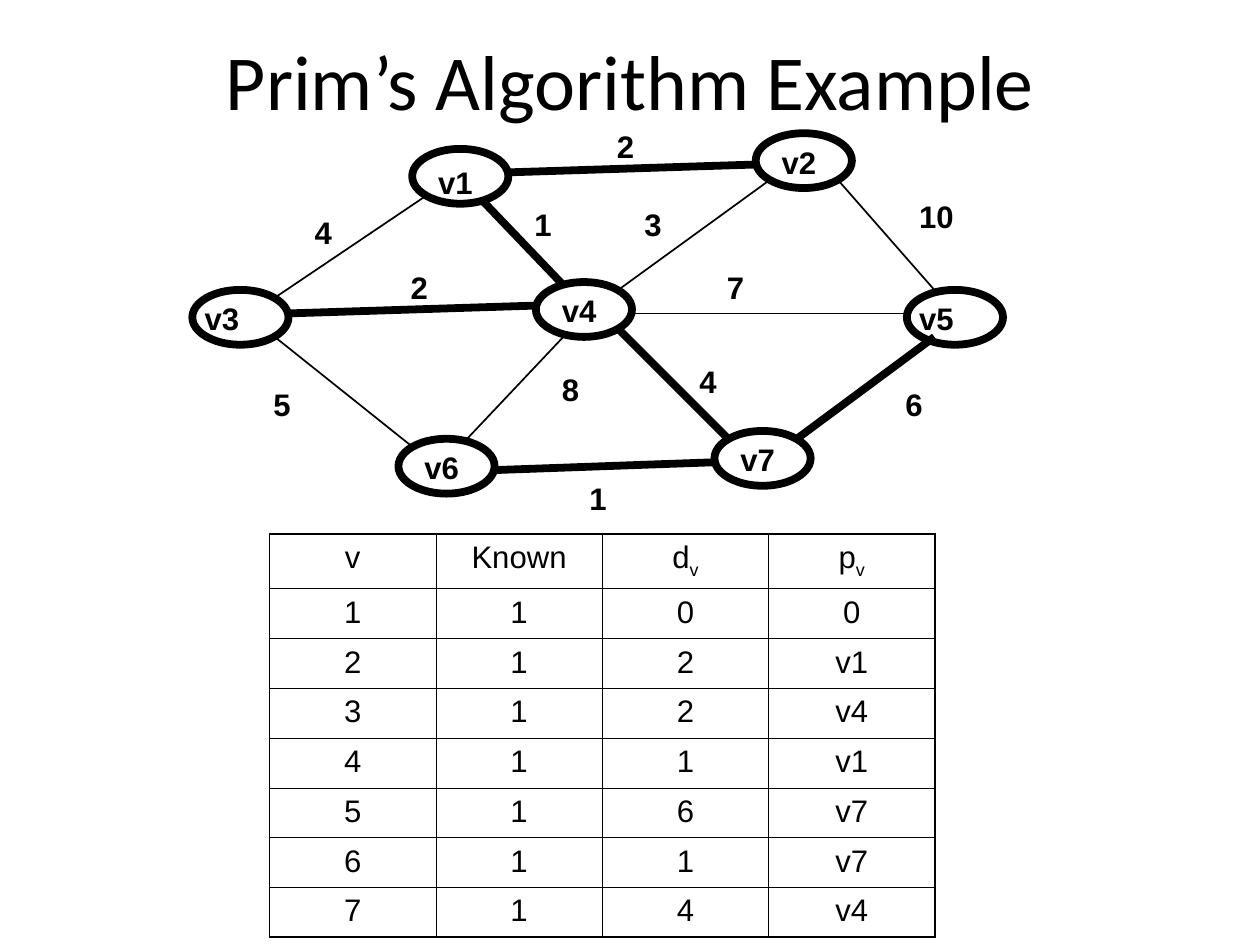
"""Build a slide showing Prim's algorithm on a weighted graph with its result table."""
from dataclasses import dataclass

from lxml import etree
from pptx import Presentation
from pptx.dml.color import RGBColor
from pptx.enum import shapes, text
from pptx.oxml import ns
from pptx.util import Inches, Pt


@dataclass(frozen=True)
class Theme:
    ink: RGBColor = RGBColor(0, 0, 0)
    title_font: str = "Calibri"
    body_font: str = "Arial"
    title_size: int = 45
    body_size: int = 18
    thick: float = 4.5
    thin: float = 1
    frame: float = 1.08
    rule: float = 0.45


theme = Theme()
deck = Presentation()
deck.slide_width, deck.slide_height = Inches(10.13), Inches(7.65)
wide, high = deck.slide_width, deck.slide_height
page = deck.slides.add_slide(deck.slide_layouts[5])


def grid(column, row):
    return int(column * wide / 91.7), int(row * high / 121.5)


def style(span, font, size, bold=False):
    span.font.name, span.font.size, span.font.bold = font, Pt(size), bold
    span.font.color.rgb = theme.ink


title = page.shapes.title
title.left, title.top = int(wide * 0.05), 0
title.width, title.height = int(wide * 0.9), int(high * 0.166)
title.text_frame.text = "Prim’s Algorithm Example"
title.text_frame.vertical_anchor = text.MSO_ANCHOR.MIDDLE
title.text_frame.paragraphs[0].alignment = text.PP_ALIGN.CENTER
style(title.text_frame.paragraphs[0].runs[0], theme.title_font, theme.title_size)

results = [
    ("v", "Known", "d", "p"),
    ("1", "1", "0", "0"),
    ("2", "1", "2", "v1"),
    ("3", "1", "2", "v4"),
    ("4", "1", "1", "v1"),
    ("5", "1", "6", "v7"),
    ("6", "1", "1", "v7"),
    ("7", "1", "4", "v4"),
]
column_width, row_height = int(wide * 0.132), int(high * 0.0523)
last_row, last_column = len(results) - 1, len(results[0]) - 1
table = page.shapes.add_table(
    len(results), len(results[0]), int(wide * 0.214), int(high * 0.561),
    column_width * len(results[0]), row_height * len(results)).table
table.first_row = table.horz_banding = False
for column in table.columns:
    column.width = column_width
for row in table.rows:
    row.height = row_height
table.rows[0].height = int(row_height * 1.1)

for row, values in enumerate(results):
    for column, value in enumerate(values):
        cell = table.cell(row, column)
        para = cell.text_frame.paragraphs[0]
        para.text = value
        para.alignment = text.PP_ALIGN.CENTER
        para.space_before = Pt(4.5)
        if row == 0 and column > 1:
            subscript = para.add_run()
            subscript.text = "v"
            subscript._r.get_or_add_rPr().set("baseline", "-25000")
        for span in para.runs:
            style(span, theme.body_font, theme.body_size)
        outer_sides = {"lnL": column == 0, "lnR": column == last_column,
                       "lnT": row == 0, "lnB": row == last_row}
        properties = cell._tc.get_or_add_tcPr()
        for side, outer in outer_sides.items():
            weight = theme.frame if outer else theme.rule
            border = etree.SubElement(properties, ns.qn("a:" + side), w=str(int(Pt(weight))))
            paint = etree.SubElement(border, ns.qn("a:solidFill"))
            etree.SubElement(paint, ns.qn("a:srgbClr"), val=str(theme.ink))
        cell.fill.background()

nodes = {"v1": (30, 19), "v2": (55, 17), "v3": (14, 37), "v4": (39, 36),
         "v5": (66, 37), "v6": (29, 56), "v7": (52, 55)}
for column, row in nodes.values():
    node = page.shapes.add_shape(shapes.MSO_SHAPE.OVAL, *grid(column, row), *grid(7, 7))
    node.shadow.inherit = False
    node.fill.background()
    node.line.color.rgb = theme.ink
    node.line.width = Pt(theme.thick)

tree_edges = [
    ((37, 22), (55, 21)),
    ((68, 43), (58, 56)),
    ((52, 59), (36, 60)),
    ((39, 39), (21, 40)),
    ((35, 25.4), (41, 36.4)),
    ((45, 42), (53, 56)),
]
other_edges = [
    ((20, 38), (31, 25)),
    ((61, 23), (68, 37)),
    ((46, 40), (66, 40)),
    ((41, 43), (34, 56)),
    ((20, 43), (30, 57)),
    ((56, 23), (45, 37)),
]
for edges, weight in ((tree_edges, theme.thick), (other_edges, theme.thin)):
    for start, end in edges:
        edge = page.shapes.add_connector(
            shapes.MSO_CONNECTOR.STRAIGHT, *grid(*start), *grid(*end))
        edge.line.color.rgb = theme.ink
        edge.line.width = Pt(weight)
        etree.SubElement(edge._element.spPr, ns.qn("a:effectLst"))

label_shifts = {"v1": (1, 1.6), "v3": (0, 1), "v5": (0, 1)}
labels = []
for name, (column, row) in nodes.items():
    across, down = label_shifts.get(name, (1, 1))
    labels.append((name, column + across, row + down))
labels += [
    ("2", 44, 16), ("10", 66, 25), ("6", 65, 49), ("7", 52, 34),
    ("2", 29, 34), ("8", 40, 47), ("1", 42, 61), ("5", 19, 49),
    ("4", 22, 27), ("1", 38, 26), ("3", 46, 26), ("4", 50, 46),
]
for label, column, row in labels:
    box = page.shapes.add_textbox(*grid(column, row), *grid(1.8 + 1.27 * len(label), 5.9))
    box.text_frame.text = label
    box.text_frame.word_wrap = False
    box.text_frame.auto_size = text.MSO_AUTO_SIZE.SHAPE_TO_FIT_TEXT
    para = box.text_frame.paragraphs[0]
    para.line_spacing = 0.9
    style(para.runs[0], theme.body_font, theme.body_size, bold=True)

deck.save("out.pptx")
